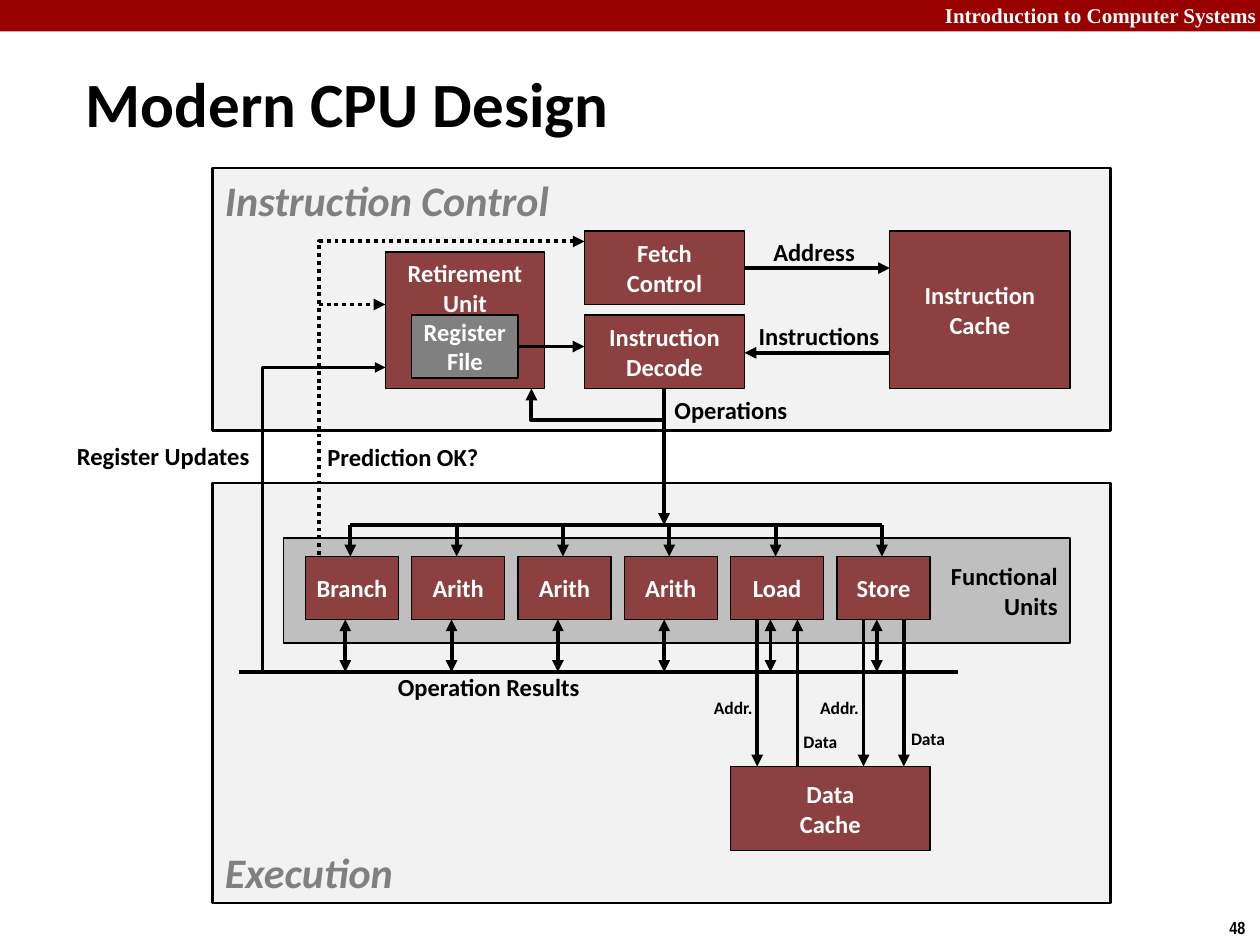
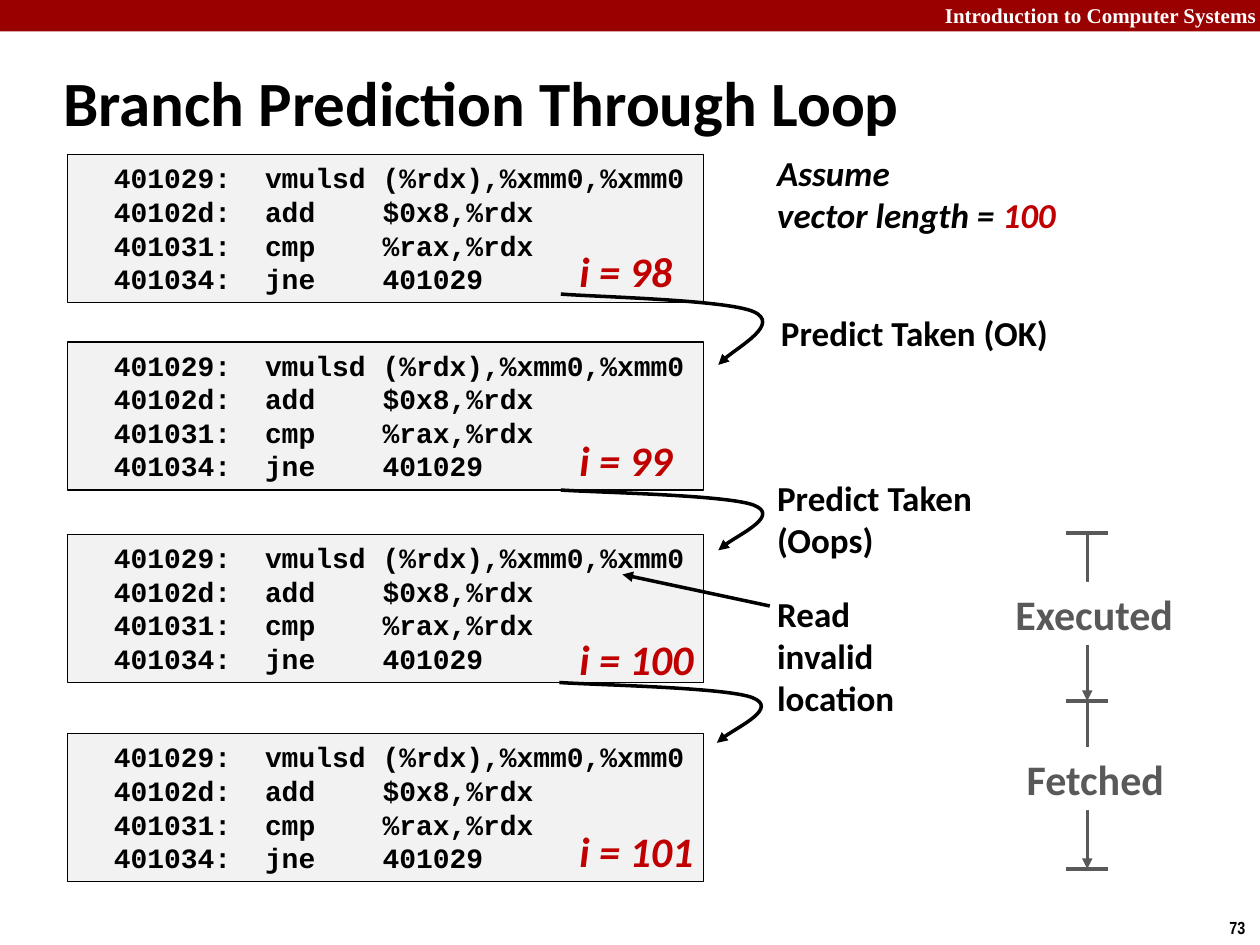
from lxml.etree import SubElement as Sub
from pptx import Presentation
from pptx.dml.color import RGBColor
from pptx.enum.dml import MSO_LINE as Dash
from pptx.enum.shapes import MSO_CONNECTOR as Link, MSO_SHAPE as Form
from pptx.enum.text import MSO_ANCHOR as Anchor, PP_ALIGN as Align
from pptx.oxml.ns import qn
from pptx.util import Pt

BLACK, WHITE, PALE = "000000", "FFFFFF", "F2F2F2"
GRAY, SILVER, SLATE = "808080", "BFBFBF", "595959"
BAND, BRICK, RED = "990000", "8C4040", "C00000"
LEFT, MID, RIGHT = Align.LEFT, Align.CENTER, Align.RIGHT
TOP, CORE, BASE = Anchor.TOP, Anchor.MIDDLE, Anchor.BOTTOM


def tint(code):
    return RGBColor.from_string(code)


class Deck:
    """Hold the shared style and the current slide."""

    font = "Calibri"

    def __init__(self):
        self.show = Presentation()
        self.show.slide_width, self.show.slide_height = Pt(720), Pt(540)

    def page(self, title, at, number):
        self.slide = self.show.slides.add_slide(self.show.slide_layouts[5])
        self.shapes = self.slide.shapes
        head = self.shapes.title
        head.left, head.top, head.width, head.height = map(Pt, at)
        self.fill(head.text_frame, title, 36, anchor=CORE)
        self.box((0, 0, 720, 18), BAND, edge=0)
        self.text((432, -2, 293, 21.6), "Introduction to Computer Systems", 12,
                  WHITE, RIGHT, font="Times New Roman")
        self.text((695.5, 520.5, 24.5, 19.5), number, 10, font="Arial Narrow")

    def run(self, para, words, size, color, slant=False, font=None):
        run = para.add_run()
        run.text = words
        face = run.font
        face.name, face.size = font or self.font, Pt(size)
        face.bold, face.italic = True, slant
        face.color.rgb = tint(color)

    def fill(self, frame, words, size, color=BLACK, align=LEFT, anchor=TOP,
             slant=False, font=None, side=7.2, wrap=True):
        frame.word_wrap, frame.vertical_anchor = wrap, anchor
        frame.margin_left = frame.margin_right = Pt(side)
        frame.margin_top = frame.margin_bottom = Pt(3.6)
        for i, line in enumerate(words.split("\n")):
            para = frame.add_paragraph() if i else frame.paragraphs[0]
            para.alignment = align
            self.run(para, line, size, color, slant, font)

    def box(self, at, paint, words="", size=14, edge=0.75, **style):
        shape = self.shapes.add_shape(Form.RECTANGLE, *map(Pt, at))
        shape.shadow.inherit = False
        shape.fill.solid()
        shape.fill.fore_color.rgb = tint(paint)
        if edge:
            shape.line.color.rgb, shape.line.width = tint(BLACK), Pt(edge)
        else:
            shape.line.fill.background()
        if words:
            self.fill(shape.text_frame, words, size, **style)
        return shape.text_frame

    def unit(self, at, words, paint=BRICK, anchor=CORE):
        self.box(at, paint, words, color=WHITE, align=MID, anchor=anchor, side=0)

    def text(self, at, words, size=14, color=BLACK, align=LEFT, **style):
        frame = self.shapes.add_textbox(*map(Pt, at)).text_frame
        self.fill(frame, words, size, color, align, **{"wrap": False, **style})
        return frame

    def stroke(self, shape, width, color, ends, dots):
        shape.line.color.rgb, shape.line.width = tint(color), Pt(width)
        if dots:
            shape.line.dash_style = Dash.ROUND_DOT
        props = shape.element.find(qn("p:spPr"))
        for end in ends:
            Sub(props.find(qn("a:ln")), qn(f"a:{end}End")).set("type", "triangle")
        Sub(props, qn("a:effectLst"))

    def line(self, x, y, x2, y2, ends=("tail",), width=2.25, color=BLACK, dots=False):
        link = self.shapes.add_connector(Link.STRAIGHT, *map(Pt, (x, y, x2, y2)))
        self.stroke(link, width, color, ends, dots)

    def trail(self, spots, end, width=2.25, dots=False, curved=False):
        spots = [(Pt(x), Pt(y)) for x, y in spots]
        pen = self.shapes.build_freeform(*spots[0])
        pen.add_line_segments(spots[1:], close=False)
        shape = pen.convert_to_shape()
        shape.fill.background()
        if curved:
            self.bend(shape)
        self.stroke(shape, width, BLACK, [end], dots)

    def bend(self, shape):
        steps = list(shape.element.iter(qn("a:lnTo")))
        for i in range(0, len(steps), 3):
            curve = Sub(steps[i].getparent(), qn("a:cubicBezTo"))
            for step in steps[i:i + 3]:
                curve.append(step[0])
                step.getparent().remove(step)


def cpu(deck):
    deck.page("Modern CPU Design", (41.8, 36, 461.5, 45.4), "48")
    deck.box((121.5, 276, 513, 240), PALE, "Execution", 24, 1.5,
             color=GRAY, anchor=BASE, slant=True)
    deck.box((162, 307.5, 449.5, 60), SILVER, "Functional\nUnits",
             align=RIGHT, anchor=CORE)
    deck.box((121.5, 96, 513, 150), PALE, "Instruction Control", 24, 1.5,
             color=GRAY, slant=True)

    deck.unit((508.5, 132, 103, 90), "Instruction\nCache")
    deck.unit((417.5, 438, 114, 48), "Data\nCache")
    deck.unit((334, 132, 91.5, 42), "Fetch\nControl")
    deck.unit((334, 180, 91.5, 42), "Instruction\nDecode")
    deck.unit((220.25, 144, 91, 78), "Retirement\nUnit", anchor=TOP)
    deck.unit((235.3, 180, 60.7, 36), "Register\nFile", GRAY)

    bus, top, foot, out = 300, 318, 354, 384
    names = ["Branch", "Arith", "Arith", "Arith", "Load", "Store"]
    for i, name in enumerate(names):
        x = 174.5 + 60.75 * i
        deck.unit((x, top, 53.2, 36), name)
        deck.line(x + 25.7, bus, x + 25.7, top)
        deck.line(x + 22.8, foot, x + 22.8, out, ("head", "tail"))
        if name in ("Load", "Store"):
            ends = (438, foot) if name == "Load" else (foot, 438)
            deck.line(x + 15.2, foot, x + 15.2, 438)
            deck.line(x + 38.2, ends[0], x + 38.2, ends[1])
            deck.text((x - 17.3, 394.5, 37.5, 19.4), "Addr.", 10, align=MID)
    deck.line(200.2, bus, 503.95, bus, ())
    deck.line(136.5, out, 547.5, out, ())

    deck.line(425.5, 153.2, 508.5, 153.2)
    deck.line(508.5, 201.6, 425.5, 201.6)
    deck.line(379.5, 222, 379.5, bus)
    deck.line(296, 198, 334, 198)
    deck.line(182.2, 174, 220.25, 174, dots=True)
    deck.trail([(334, 138), (182.2, 138), (182.2, top)], "head", dots=True)
    deck.trail([(220.25, 210), (150, 210), (150, out)], "head", 1.5)
    deck.trail([(379.5, 240), (303.7, 240), (303.7, 222)], "tail")

    for x, y, wide, words, align in [
        (434.2, 132, 62, "Address", MID),
        (426, 180, 84, "Instructions", MID),
        (377.7, 222, 80, "Operations", MID),
        (180, 249, 101.5, "Prediction OK?", LEFT),
        (220.25, 380.3, 119.5, "Operation Results", LEFT),
        (36, 248.7, 113.7, "Register Updates", RIGHT),
    ]:
        deck.text((x, y, wide, 24.2), words, align=align)
    for x, y in [(513, 412.5), (451.5, 414)]:
        deck.text((x, y, 34.5, 19.4), "Data", 10, align=MID)


def loop(deck):
    deck.page("Branch Prediction Through Loop", (28.8, 35.4, 618.5, 45.4), "73")
    code = ("401029:\tvmulsd\t(%rdx),%xmm0,%xmm0\n40102d:\tadd\t$0x8,%rdx\n"
            "401031:\tcmp\t%rax,%rdx\n401034:\tjne\t401029")
    for top, step, y, wide in [(88.4, 98, 136.8, 67.7), (195.4, 99, 244.8, 67.7),
                               (305.4, 100, 358.6, 80), (419.3, 101, 468, 80)]:
        frame = deck.box((38.7, top, 363.4, 84.6), PALE, code, 16,
                         font="Courier New", side=0)
        frame.margin_left = Pt(26.4)
        for para in frame.paragraphs:
            tabs = Sub(para._p.get_or_add_pPr(), qn("a:tabLst"))
            for spot in (86.4, 153.6):
                tab = Sub(tabs, qn("a:tab"))
                tab.set("pos", str(Pt(spot)))
                tab.set("algn", "l")
        deck.text((324, y, wide, 36), f"i = {step}", 24, RED, slant=True)

    bow = [(0, 0), (18.7, 0.04), (95, 0.08), (110.2, 0.25),
           (125.3, 0.42), (94.3, 0.85), (90, 1)]
    for x, y, fall in [(320.5, 168, 40.5), (320.5, 280, 34.5), (319.7, 390, 34.5)]:
        deck.trail([(x + dx, y + part * fall) for dx, part in bow],
                   "tail", 2, curved=True)

    deck.text((439.2, 174.2, 168.5, 31.5), "Predict Taken (OK)", 20)
    deck.text((437, 268.6, 126.7, 55.7), "Predict Taken\n(Oops)", 20)
    deck.text((437, 334.8, 102.2, 80), "Read invalid location", 20, wrap=True)
    frame = deck.text((437, 82.8, 175, 55.7), "Assume\nvector length = ", 20, slant=True)
    deck.run(frame.paragraphs[-1], "100", 20, RED, slant=True)
    deck.line(439.9, 346.3, 355.7, 328.3, width=2)

    span, mid = 96, 621.3
    marks = [304.5 + span * i for i in range(3)]
    for y in marks[:2]:
        deck.line(mid, y, mid, y + span, width=2, color=SLATE)
    for at, word in [((573.1, 332.5, 105.8, 36), "Executed"),
                     ((579.6, 427, 93.6, 36), "Fetched")]:
        deck.box(at, WHITE, word, 24, 0, color=SLATE, wrap=False)
    for y in marks:
        deck.line(mid - 12, y, mid + 12, y, (), 2, SLATE)


def main():
    deck = Deck()
    cpu(deck)
    loop(deck)
    deck.show.save("out.pptx")


if __name__ == "__main__":
    main()
